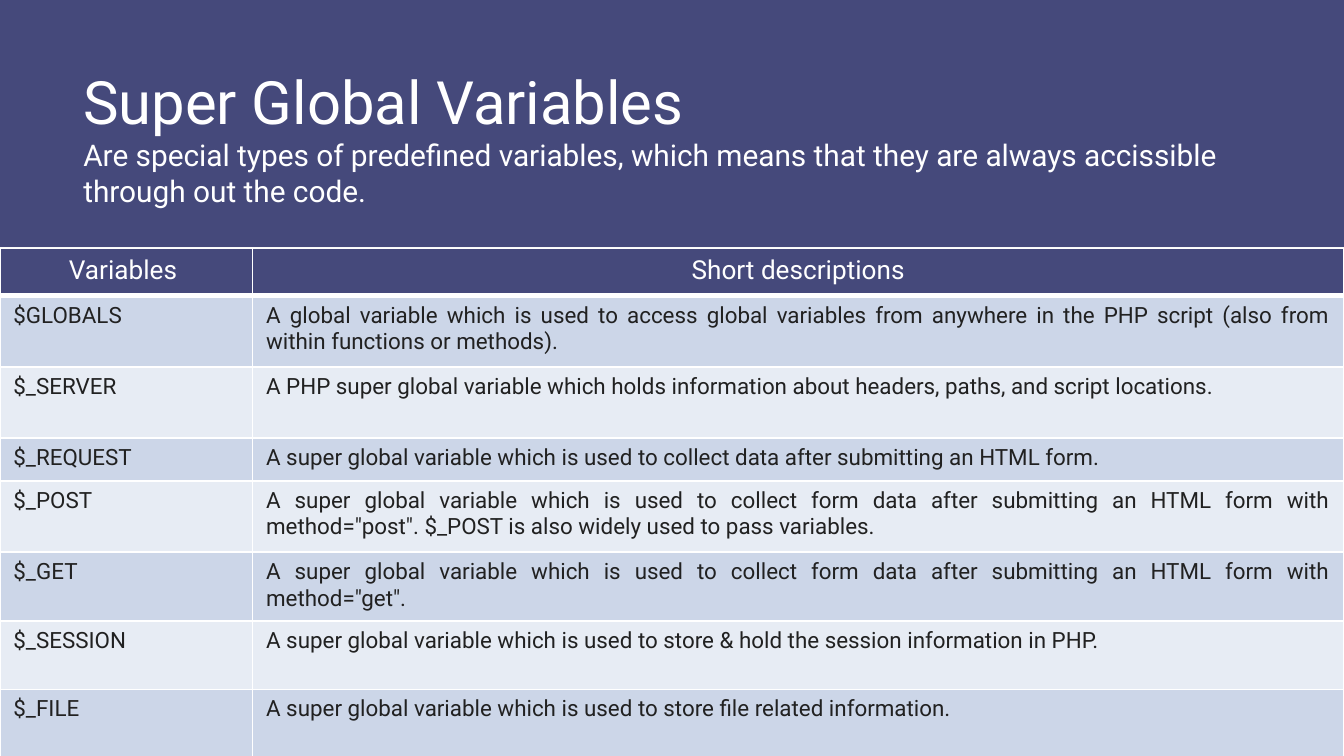
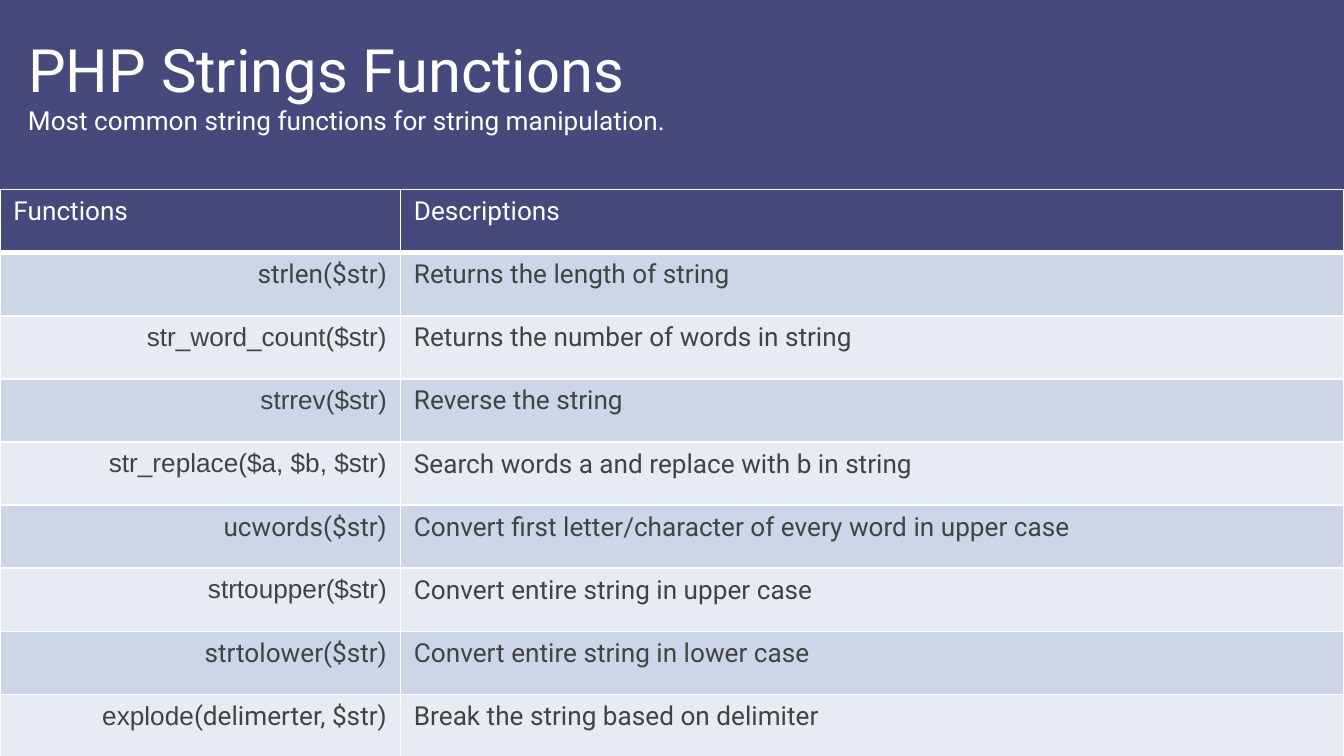
from lxml.etree import SubElement
from pptx import Presentation
from pptx.dml.color import RGBColor
from pptx.enum.shapes import MSO_SHAPE
from pptx.enum.text import MSO_ANCHOR, MSO_AUTO_SIZE, PP_ALIGN
from pptx.oxml.ns import qn
from pptx.util import Inches, Pt

HUES = {
    "navy": "45497B", "white": "FFFFFF", "panel": "FAFAFA",
    "odd": "CCD6E8", "even": "E7ECF4", "ink": "212121", "gray": "424242",
}
FADE = [(0, "F9F9F9"), (36, "F9F9F9"), (80, "DEDEDE"), (100, "999999")]
LEFT, MID, RIGHT, FULL = PP_ALIGN.LEFT, PP_ALIGN.CENTER, PP_ALIGN.RIGHT, PP_ALIGN.JUSTIFY

PAGES = [
    {
        "title": "Super Global Variables",
        "lead": "Are special types of predefined variables, which means that "
                "they are always accissible through out the code.",
        "spot": (0.52, 0.81),
        "top": 1.85,
        "split": 0.188,
        "rows": [0.35, 0.53, 0.53, 0.32, 0.53, 0.51, 0.51, 0.51],
        "head": MID, "align": (LEFT, FULL), "size": 12, "ink": "ink",
        "data": [
            ("Variables ", "Short descriptions"),
            ("$GLOBALS", "A global variable which is used to access global variables from "
                         "anywhere in the PHP script (also from within functions or methods)."),
            ("$_SERVER", "A PHP super global variable which holds information about headers, "
                         "paths, and script locations."),
            ("$_REQUEST", "A super global variable which is used to collect data after "
                          "submitting an HTML form."),
            ("$_POST", "A super global variable which is used to collect form data after "
                       "submitting an HTML form with method=\"post\". $_POST is also widely "
                       "used to pass variables."),
            ("$_GET", "A super global variable which is used to collect form data after "
                      "submitting an HTML form with method=\"get\"."),
            ("$_SESSION", "A super global variable which is used to store & hold the session "
                          "information in PHP."),
            ("$_FILE", "A super global variable which is used to store file related information."),
        ],
        "arial": {},
    },
    {
        "title": "PHP Strings Functions",
        "note": "Most common string functions for string manipulation.",
        "spot": (0.11, 0.04),
        "top": 1.41,
        "split": 0.298,
        "rows": [0.47] * 9,
        "head": LEFT, "align": (RIGHT, LEFT), "size": 14, "ink": "gray",
        "data": [
            ("Functions", "Descriptions"),
            ("strlen($str)", "Returns the length of string"),
            ("str_word_count($str)", "Returns the number of words in string"),
            ("strrev($str)", "Reverse the string"),
            ("str_replace($a, $b, $str)", "Search words a and replace with b in string"),
            ("ucwords($str)", "Convert first letter/character of every word in upper case"),
            ("strtoupper($str)", "Convert entire string in upper case"),
            ("strtolower($str)", "Convert entire string in lower case"),
            ("explode(delimerter, $str)", "Break the string based on delimiter"),
        ],
        "arial": {
            "str_word_count($str)": 20, "strrev($str)": 12,
            "str_replace($a, $b, $str)": 25, "strtoupper($str)": 16,
            "explode(delimerter, $str)": 7,
        },
    },
]


def style(font, hue, size=None, name="Roboto"):
    font.name = name
    font.bold = False
    font.color.rgb = RGBColor.from_string(HUES[hue])
    if size:
        font.size = Pt(size)


def edge(cell, sides):
    props = cell._tc.get_or_add_tcPr()
    for spot, (side, width) in enumerate(sides.items()):
        line = SubElement(props, qn("a:ln" + side), w=str(Pt(width)))
        fill = SubElement(line, qn("a:solidFill"))
        SubElement(fill, qn("a:srgbClr"), val=HUES["white"])
        props.insert(spot, line)


deck = Presentation()
wide = Inches(10)
high = wide * 9 // 16
deck.slide_width, deck.slide_height = wide, high
back = deck.slide_master.background.fill
back.solid()
back.fore_color.rgb = RGBColor.from_string(HUES["navy"])
layout = deck.slide_layouts[5]

for page in PAGES:
    slide = deck.slides.add_slide(layout)

    if page is PAGES[0]:
        top = Inches(1.84)
        panel = slide.shapes.add_shape(MSO_SHAPE.RECTANGLE, 0, top, wide, high - top)
        panel.fill.solid()
        panel.fill.fore_color.rgb = RGBColor.from_string(HUES["panel"])
        band = slide.shapes.add_shape(MSO_SHAPE.RECTANGLE, 0, top, wide, Inches(0.12))
        band.fill.gradient()
        band.fill.gradient_angle = 270
        stops = band.element.spPr.find(".//" + qn("a:gsLst"))
        stops.clear()
        for share, tone in FADE:
            stop = SubElement(stops, qn("a:gs"), pos=str(share * 1000))
            SubElement(stop, qn("a:srgbClr"), val=tone)
        for spot, shape in enumerate((panel, band)):
            shape.line.fill.background()
            shape.shadow.inherit = False
            deck.slide_master.shapes.element.insert(2 + spot, shape.element)

    title = slide.shapes.title
    title.left, title.top = [Inches(x) for x in page["spot"]]
    title.width, title.height = Inches(8.99), Inches(0.84)
    frame = title.text_frame
    frame.word_wrap = True
    frame.auto_size = MSO_AUTO_SIZE.NONE
    frame.vertical_anchor = MSO_ANCHOR.BOTTOM
    frame.margin_left = frame.margin_right = Inches(0.1)
    frame.margin_top = frame.margin_bottom = Inches(0.1)
    para = frame.paragraphs[0]
    para.alignment = LEFT
    style(para.font, "white")
    run = para.add_run()
    run.text = page["title"]
    run.font.size = Pt(32)
    if "lead" in page:
        para.add_line_break()
        run = para.add_run()
        run.text = page["lead"]
        run.font.size = Pt(16)

    rows = page["rows"]
    table = slide.shapes.add_table(
        len(rows), 2, 0, Inches(page["top"]), wide, Inches(sum(rows))).table
    table.columns[0].width = int(wide * page["split"])
    table.columns[1].width = wide - table.columns[0].width
    for r, texts in enumerate(page["data"]):
        table.rows[r].height = Inches(rows[r])
        for c, text in enumerate(texts):
            cell = table.cell(r, c)
            cell.fill.solid()
            tone = "navy" if r == 0 else "odd" if r % 2 else "even"
            cell.fill.fore_color.rgb = RGBColor.from_string(HUES[tone])
            edge(cell, {"L": 1, "R": 1, "T": 3 if r == 1 else 1, "B": 1 if r else 3})
            para = cell.text_frame.paragraphs[0]
            para.alignment = page["align"][c] if r else page["head"]
            cut = page["arial"].get(text, 0)
            name = "Arial" if cut == len(text) else "Roboto"
            style(para.font, page["ink"] if r else "white", page["size"] if r else 14, name)
            if 0 < cut < len(text):
                run = para.add_run()
                run.text = text[:cut]
                run.font.name = "Arial"
                text = text[cut:]
            para.add_run().text = text

    if "note" in page:
        note = slide.shapes.add_textbox(
            Inches(0.11), Inches(0.73), Inches(9.54), Inches(0.34)).text_frame
        note.word_wrap = True
        note.auto_size = MSO_AUTO_SIZE.SHAPE_TO_FIT_TEXT
        note.text = page["note"]
        style(note.paragraphs[0].font, "white", 14)

deck.save("out.pptx")
